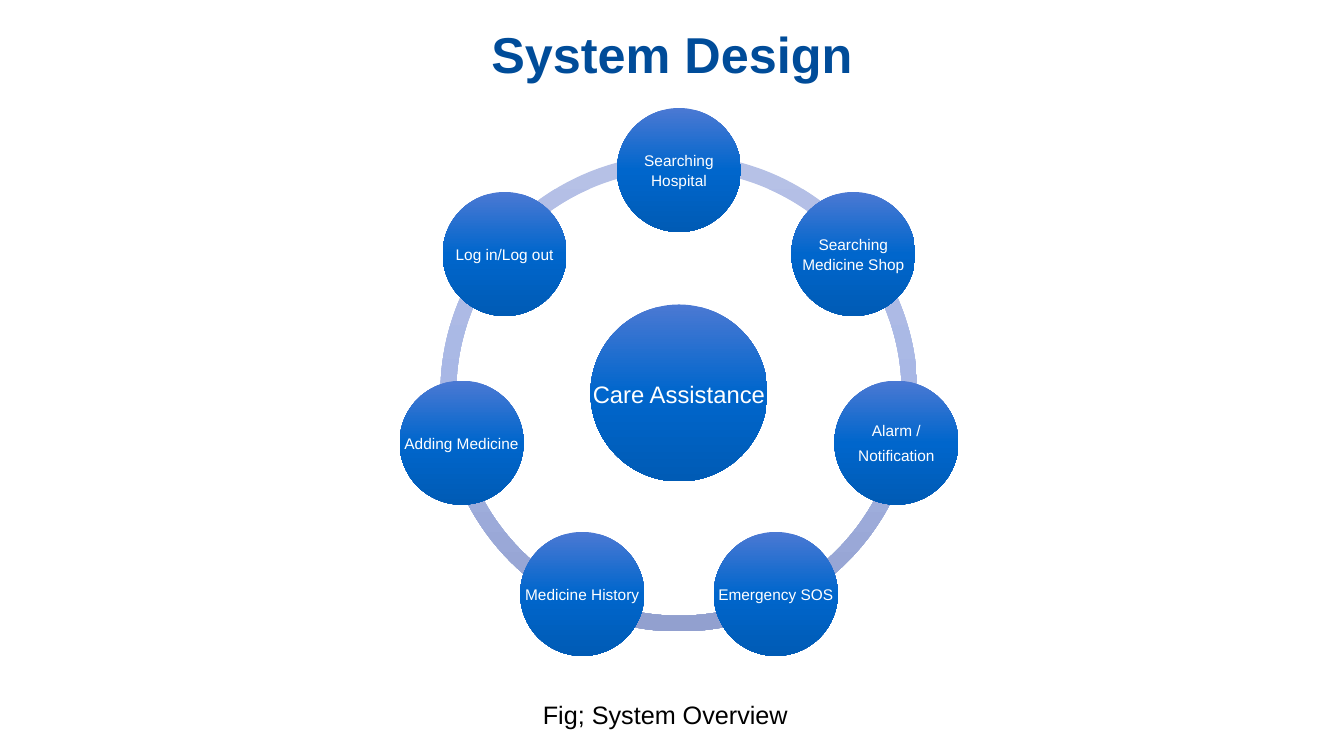
from math import cos, radians, sin

from lxml import etree
from pptx import Presentation
from pptx.dml.color import RGBColor
from pptx.enum.shapes import MSO_SHAPE
from pptx.enum.text import MSO_ANCHOR, PP_ALIGN
from pptx.oxml.ns import qn
from pptx.util import Emu, Pt

OVAL = MSO_SHAPE.OVAL
BLOCK_ARC = MSO_SHAPE.BLOCK_ARC
MIDDLE = MSO_ANCHOR.MIDDLE
TOP = MSO_ANCHOR.TOP
CENTER = PP_ALIGN.CENTER
LEFT = PP_ALIGN.LEFT

SLIDE_WIDTH, SLIDE_HEIGHT = 1344, 756
EMU_PER_PX = 12192000 / SLIDE_WIDTH
ARC_DEGREE = 0.6

HUB_X, HUB_Y = 679, 393
HUB_SIZE, FEATURE_SIZE, RING_SIZE = 177, 124, 477
ORBIT = 223
FEATURES = [
    "Searching Hospital",
    "Searching Medicine Shop",
    "Alarm /\nNotification",
    "Emergency SOS",
    "Medicine History",
    "Adding Medicine",
    "Log in/Log out",
]


def px(length):
    return Emu(round(length * EMU_PER_PX))


def colour(value):
    return RGBColor.from_string(value)


class Diagram:
    font = "Arial"
    title_blue = "004C99"
    ring_shades = ("B6C1E6", "A8B7E5", "92A0CF")
    circle_shades = ("4B79D3", "0066CC", "005BB5")

    def __init__(self, slide):
        self.shapes = slide.shapes

    def text(self, wording, left, top, width, height, *, size, color,
             bold=False, align=LEFT, anchor=TOP, inset=None,
             line_spacing=None, space_after=0):
        frame = self.shapes.add_textbox(
            px(left), px(top), px(width), px(height)).text_frame
        frame.word_wrap = True
        frame.vertical_anchor = anchor
        if inset is not None:
            frame.margin_left = frame.margin_right = px(inset)
            frame.margin_top = frame.margin_bottom = px(inset)
        frame.text = wording
        for paragraph in frame.paragraphs:
            paragraph.alignment = align
            paragraph.line_spacing = line_spacing
            paragraph.space_after = Pt(space_after)
            paragraph.font.name = self.font
            paragraph.font.size = Pt(size)
            paragraph.font.bold = bold
            paragraph.font.color.rgb = colour(color)

    def shaded(self, preset, x, y, size, shades):
        shape = self.shapes.add_shape(
            preset, px(x - size / 2), px(y - size / 2), px(size), px(size))
        shape.shadow.inherit = False
        shape.line.fill.background()
        shape.fill.gradient()
        shape.fill.gradient_angle = 270
        stops = next(shape.element.iter(qn("a:gsLst")))
        for stop in list(stops):
            stops.remove(stop)
        for position, shade in zip((0, 50000, 100000), shades):
            stop = etree.SubElement(stops, qn("a:gs"), pos=str(position))
            etree.SubElement(stop, qn("a:srgbClr"), val=shade)
        return shape

    def arc(self, start, end):
        arc = self.shaded(BLOCK_ARC, HUB_X, HUB_Y, RING_SIZE, self.ring_shades)
        arc.adjustments[0] = start % 360 * ARC_DEGREE
        arc.adjustments[1] = end % 360 * ARC_DEGREE
        arc.adjustments[2] = 0.033

    def circle(self, wording, x, y, size, font_size):
        self.shaded(OVAL, x, y, size, self.circle_shades)
        self.text(wording, x - size / 2, y - size / 2, size, size,
                  size=font_size, color="FFFFFF", align=CENTER, anchor=MIDDLE,
                  inset=2, line_spacing=1.07, space_after=font_size * 0.35)


def main():
    deck = Presentation()
    deck.slide_width, deck.slide_height = px(SLIDE_WIDTH), px(SLIDE_HEIGHT)
    diagram = Diagram(deck.slides.add_slide(deck.slide_layouts[6]))

    diagram.text("System Design", 67, 21, 1210, 65, size=36, bold=True,
                 color=diagram.title_blue, align=CENTER, anchor=MIDDLE)

    step = 360 / len(FEATURES)
    angles = [270 + step * index for index in range(len(FEATURES))]
    for angle in angles:
        diagram.arc(angle, angle + step)
    diagram.circle("Care Assistance", HUB_X, HUB_Y, HUB_SIZE, 17)
    for feature, angle in zip(FEATURES, angles):
        diagram.circle(feature, HUB_X + ORBIT * cos(radians(angle)),
                       HUB_Y + ORBIT * sin(radians(angle)), FEATURE_SIZE, 11)

    diagram.text("Fig; System Overview", 533, 694, 389, 40,
                 size=18, color="000000")
    deck.save("out.pptx")


if __name__ == "__main__":
    main()
